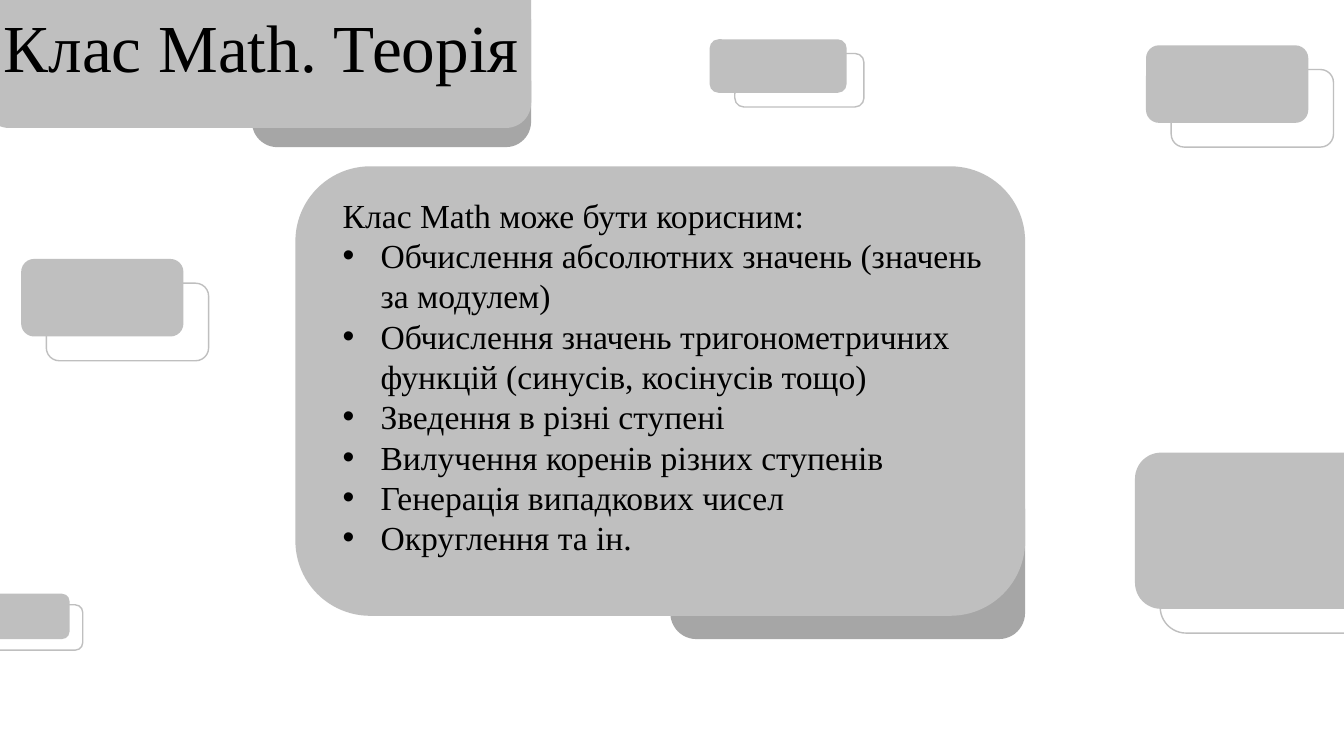
from lxml.etree import SubElement
from pptx import Presentation
from pptx.dml.color import RGBColor
from pptx.enum.shapes import MSO_SHAPE
from pptx.enum.text import MSO_ANCHOR, MSO_AUTO_SIZE, PP_ALIGN
from pptx.oxml.ns import qn
from pptx.util import Pt

# Content
TITLE = "Клас Math. Теорія"
INTRO = "Клас Math може бути корисним:"
USES = [
    "Обчислення абсолютних значень (значень за модулем)",
    "Обчислення значень тригонометричних функцій (синусів, косінусів тощо)",
    "Зведення в різні ступені",
    "Вилучення коренів різних ступенів",
    "Генерація випадкових чисел",
    "Округлення та ін.",
]

# Style
LIGHT = RGBColor(0xBF, 0xBF, 0xBF)
DARK = RGBColor(0xA6, 0xA6, 0xA6)
BLACK = RGBColor(0, 0, 0)
FONT = "Times New Roman"
BULLET_INDENT = 27

# Boxes: left, top, width, height
TITLE_BOX = (-5.8, 0, 385.2, 65.5)
BODY_BOX = (237.6, 135.4, 485.3, 269.3)
PANELS = [
    ((478.8, 344.9, 253.4, 111.6), DARK),
    ((211, 118.8, 521.3, 321.1), LIGHT),
    ((180, -3.6, 199.4, 108.7), DARK),
    ((-11.5, -17.3, 391, 108.7), LIGHT),
]
# Decorations: filled box, outline offset, outline width
DECORATIONS = [
    ((818.6, 32.4, 115.9, 55.4), (18, 17.3), 115.9),
    ((15.1, 185, 115.9, 55.4), (18, 17.3), 115.9),
    ((810.7, 323.3, 195.8, 111.6), (18, 17.3), 195.8),
    ((506.9, 28.1, 97.9, 38.2), (18, 10.1), 92.2),
    ((-33.1, 424.1, 82.8, 32.4), (9.4, 7.9), 82.8),
]


def add_card(s, box, fill=None, line=None):
    sp = s.shapes.add_shape(MSO_SHAPE.ROUNDED_RECTANGLE, *map(Pt, box))
    sp.shadow.inherit = False
    if fill is None:
        sp.fill.background()
    else:
        sp.fill.solid()
        sp.fill.fore_color.rgb = fill
    if line is None:
        sp.line.fill.background()
    else:
        sp.line.color.rgb = line
        sp.line.width = Pt(1)


def fill_placeholder(sp, box, lines, size, align, wrap):
    for name, value in zip(("left", "top", "width", "height"), box):
        setattr(sp, name, Pt(value))
    # Bring the text in front of the panels
    sp.element.getparent().append(sp.element)
    tf = sp.text_frame
    tf.text = "\n".join(lines)
    frame = {"word_wrap": wrap, "auto_size": MSO_AUTO_SIZE.NONE,
             "vertical_anchor": MSO_ANCHOR.TOP}
    for name, value in frame.items():
        setattr(tf, name, value)
    layout = {"alignment": align, "line_spacing": 1.0,
              "space_before": Pt(0), "space_after": Pt(0)}
    for p in tf.paragraphs:
        for name, value in layout.items():
            setattr(p, name, value)
        r = p.runs[0]
        for name, value in {"name": FONT, "size": Pt(size)}.items():
            setattr(r.font, name, value)
        r.font.color.rgb = BLACK
    return tf


def set_bullet(p, bullet):
    pPr = p._p.get_or_add_pPr()
    indent = Pt(BULLET_INDENT) if bullet else 0
    pPr.set("marL", str(indent))
    pPr.set("indent", str(-indent))
    if bullet:
        SubElement(pPr, qn("a:buFont")).set("typeface", "Arial")
        SubElement(pPr, qn("a:buChar")).set("char", "•")
    else:
        SubElement(pPr, qn("a:buNone"))


def main():
    prs = Presentation()
    prs.slide_width, prs.slide_height = Pt(960), Pt(540)
    s = prs.slides.add_slide(prs.slide_layouts[1])

    # Panels behind the title and the list
    for box, color in PANELS:
        add_card(s, box, fill=color)

    # Filled cards, each with a shifted outline
    for box, (dx, dy), width in DECORATIONS:
        left, top, _, height = box
        add_card(s, box, fill=LIGHT)
        add_card(s, (left + dx, top + dy, width, height), line=LIGHT)

    # Title and list
    body = s.placeholders[1]
    fill_placeholder(s.shapes.title, TITLE_BOX, [TITLE], 48, PP_ALIGN.CENTER, False)
    tf = fill_placeholder(body, BODY_BOX, [INTRO, *USES], 24, PP_ALIGN.LEFT, True)
    for i, p in enumerate(tf.paragraphs):
        set_bullet(p, i > 0)

    prs.save("out.pptx")


if __name__ == "__main__":
    main()
